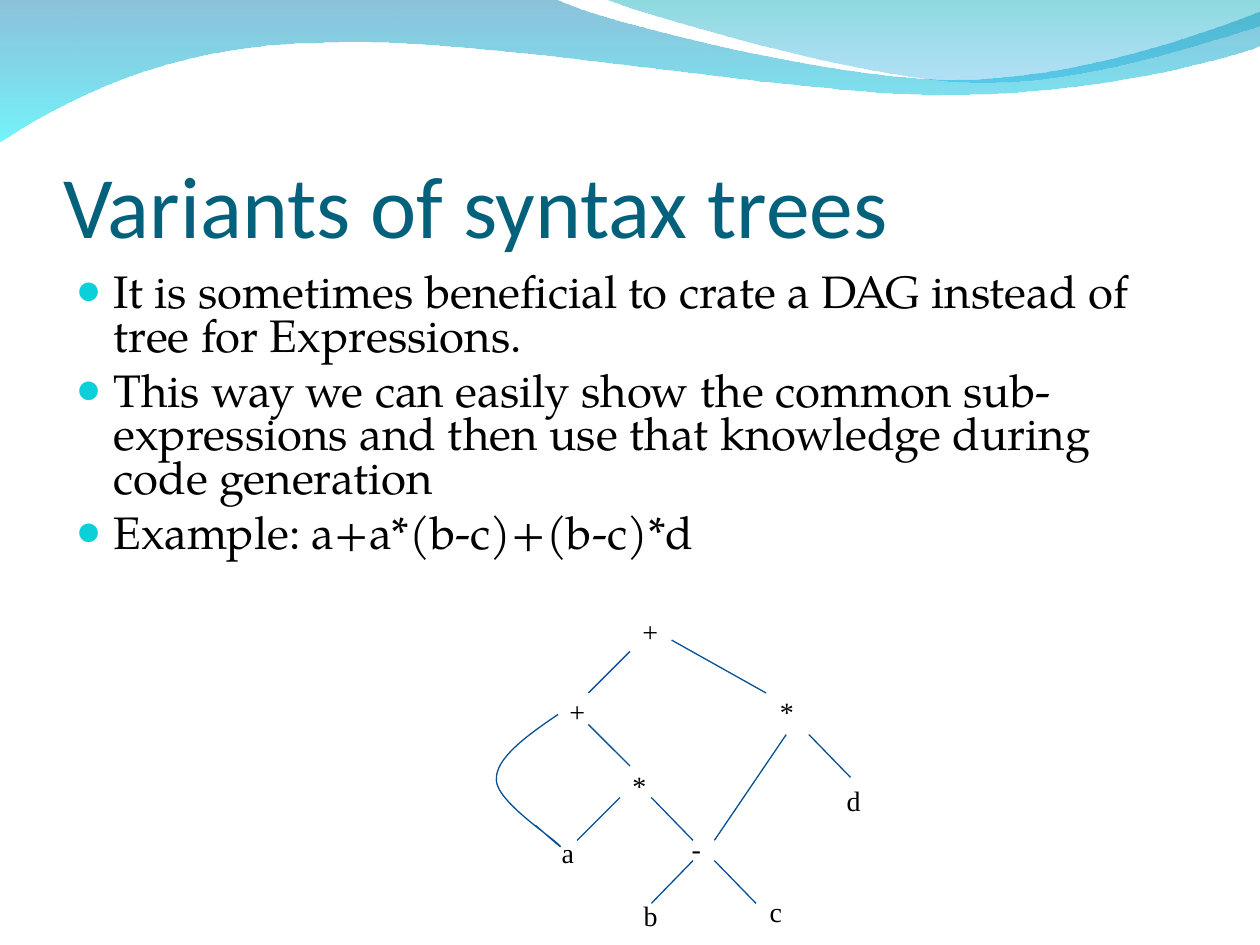
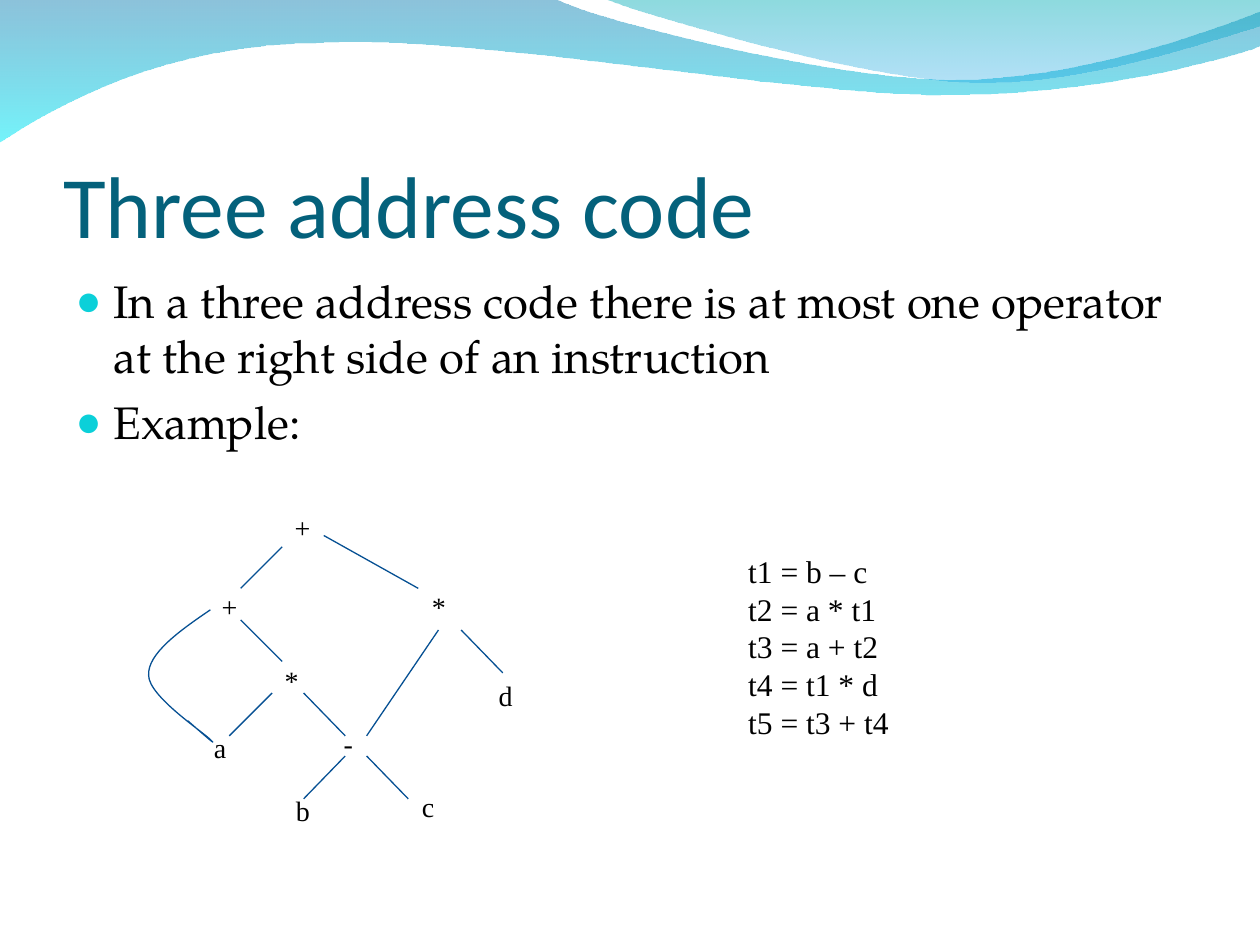
from lxml.etree import SubElement
from pptx import Presentation
from pptx.dml.color import RGBColor
from pptx.enum.shapes import MSO_CONNECTOR
from pptx.enum.text import MSO_ANCHOR, MSO_AUTO_SIZE, PP_ALIGN
from pptx.oxml.ns import qn
from pptx.util import Inches, Pt

TITLE_FONT, BODY_FONT, DIAGRAM_FONT = "Calibri", "TeX Gyre Pagella", "Times New Roman"
TITLE_COLOR, TEXT_COLOR, BULLET_COLOR, EDGE_COLOR = "04617B", "000000", "0BD0D9", "065093"

SLIDES = [
    {
        "title": "Variants of syntax trees",
        "bullets": [
            "It is sometimes beneficial to crate a DAG instead of tree for Expressions.",
            "This way we can easily show the common sub-expressions and then use that "
            "knowledge during code generation",
            "Example: a+a*(b-c)+(b-c)*d",
        ],
        "body_height": 2.72,
        "line_spacing": 0.8,
        "dag_origin": (5, 4.83),
        "code": [],
    },
    {
        "title": "Three address code",
        "bullets": [
            "In a three address code there is at most one operator at the right side "
            "of an instruction",
            "Example:",
        ],
        "body_height": 1.8,
        "line_spacing": 1.0,
        "dag_origin": (2.24, 4),
        "code": ["t1 = b – c", "t2 = a * t1", "t3 = a + t2", "t4 = t1 * d", "t5 = t3 + t4"],
    },
]

# Outlines: a start point, then segments of one point (line) or three (Bezier curve).
# Gradient stops: colour and opacity in percent, from top to bottom.
BANDS = [
    {
        "start": (0, -0.01),
        "segments": [
            [(4.4, -0.01)],
            [(4.76, 0.17), (6.64, 0.63), (7.58, 0.63)],
            [(8.53, 0.63), (9.58, 0.26), (10, 0.09)],
            [(10.01, 0.36)],
            [(9.83, 0.44), (8.7, 0.76), (7.46, 0.75)],
            [(6.22, 0.75), (3.82, 0.28), (2.57, 0.34)],
            [(1.29, 0.35), (0.46, 0.83), (-0.01, 1.13)],
            [(0, -0.01)],
        ],
        "stops": [("0079AF", 45), ("00EBF8", 55)],
    },
    {
        "start": (4.79, -0.01),
        "segments": [
            [(5.09, 0.11), (6.82, 0.62), (7.69, 0.65)],
            [(8.56, 0.69), (9.61, 0.32), (10, 0.21)],
            [(10, 0)],
            [(4.79, -0.01)],
        ],
        "stops": [("00ADB6", 45), ("009BE5", 30)],
    },
]

# The expression DAG, measured from the corner of its root label.
DAG_NODES = [
    ("+", 0, 0), ("+", -0.58, 0.63), ("*", 1.09, 0.63), ("*", -0.08, 1.22), ("-", 0.39, 1.72),
    ("b", 0.01, 2.25), ("c", 1.01, 2.22), ("a", -0.64, 1.75), ("d", 1.62, 1.34),
]
DAG_EDGES = [
    ((0, 0.34), (-0.33, 0.67)), ((0.33, 0.25), (1.08, 0.67)),
    ((-0.33, 0.92), (0, 1.25)), ((1.24, 1), (0.67, 1.84)), ((1.42, 1), (1.75, 1.34)),
    ((-0.08, 1.5), (-0.42, 1.84)), ((0.17, 1.5), (0.5, 1.84)),
    ((0.5, 2), (0.17, 2.34)), ((0.67, 2), (1, 2.34)),
]
DAG_LOOP = {
    "start": (-0.57, 0.84),
    "segments": [
        [(-0.82, 1.01), (-1.07, 1.19), (-1.06, 1.36)],
        [(-1.06, 1.53), (-0.61, 1.82), (-0.56, 1.88)],
        [(-0.5, 1.94), (-0.75, 1.72), (-0.75, 1.72)],
        [(-0.75, 1.72)],
    ],
}
LABEL_WIDTHS = {"+": 0.32, "-": 0.27, "a": 0.3, "c": 0.3}


def color(hex_string):
    return RGBColor.from_string(hex_string)


def place(shape, left, top, width, height):
    shape.left, shape.top = Inches(left), Inches(top)
    shape.width, shape.height = Inches(width), Inches(height)


def format_runs(paragraph, font, size, hex_string):
    for run in paragraph.runs:
        run.font.name, run.font.size = font, Pt(size)
        run.font.color.rgb = color(hex_string)


def add_outline(slide, outline, origin=(0, 0), close=True):
    """Build a freeform through all points, then join each group of three into a curve."""
    points = [outline["start"]] + [point for segment in outline["segments"] for point in segment]
    start, *others = [(Inches(origin[0] + x), Inches(origin[1] + y)) for x, y in points]
    builder = slide.shapes.build_freeform(*start)
    builder.add_line_segments(others, close=close)
    shape = builder.convert_to_shape()
    shape.shadow.inherit = False
    lines = iter(list(shape.element.iter(qn("a:lnTo"))))
    for segment in outline["segments"]:
        first, *rest = [next(lines) for _ in segment]
        if rest:
            first.tag = qn("a:cubicBezTo")
        for line in rest:
            first.append(line[0])
            line.getparent().remove(line)
    return shape


def move_bands_to_layout(slide, layout):
    """Draw the bands with the slide's shape builder and put them behind the layout."""
    for index, band in enumerate(BANDS):
        shape = add_outline(slide, band)
        shape.line.fill.background()
        shape.fill.gradient()
        shape.fill.gradient_angle = 270
        for stop, (hex_string, _) in zip(shape.fill.gradient_stops, band["stops"]):
            stop.color.rgb = color(hex_string)
        gradient_colors = shape.element.spPr.iter(qn("a:srgbClr"))
        for element, (_, opacity) in zip(gradient_colors, band["stops"]):
            SubElement(element, qn("a:alpha"), val=str(opacity * 1000))
        shape.element.nvSpPr.cNvPr.id = 20 + index
        layout.shapes.element.insert(2 + index, shape.element)


def set_title(slide, text):
    title = slide.shapes.title
    place(title, 0.5, 0.78, 9, 1.25)
    frame = title.text_frame
    frame.text = text
    frame.auto_size = MSO_AUTO_SIZE.NONE
    frame.vertical_anchor = MSO_ANCHOR.BOTTOM
    frame.margin_left = frame.margin_right = frame.margin_bottom = 0
    frame.paragraphs[0].alignment = PP_ALIGN.LEFT
    format_runs(frame.paragraphs[0], TITLE_FONT, 50, TITLE_COLOR)


def set_bullets(slide, bullets, height, line_spacing):
    body = slide.placeholders[1]
    place(body, 0.5, 2.12, 9, height)
    frame = body.text_frame
    frame.text = "\n".join(bullets)
    frame.auto_size = MSO_AUTO_SIZE.NONE
    for paragraph in frame.paragraphs:
        paragraph.space_before = Pt(6.5)
        paragraph.line_spacing = line_spacing
        format_runs(paragraph, BODY_FONT, 26, TEXT_COLOR)
        properties = paragraph._p.get_or_add_pPr()
        properties.set("marL", str(Inches(0.3)))
        properties.set("indent", str(Inches(-0.3)))
        bullet_color = SubElement(properties, qn("a:buClr"))
        SubElement(bullet_color, qn("a:srgbClr"), val=BULLET_COLOR)
        SubElement(properties, qn("a:buSzPct"), val="95000")
        SubElement(properties, qn("a:buChar"), char="●")


def add_text(slide, text, left, top, width, height, size):
    box = slide.shapes.add_textbox(Inches(left), Inches(top), Inches(width), Inches(height))
    frame = box.text_frame
    frame.text = text
    frame.word_wrap = False
    frame.auto_size = MSO_AUTO_SIZE.SHAPE_TO_FIT_TEXT
    for paragraph in frame.paragraphs:
        format_runs(paragraph, DIAGRAM_FONT, size, TEXT_COLOR)


def style_edge(shape):
    shape.line.color.rgb = color(EDGE_COLOR)
    shape.line.width = Pt(0.75)


def add_dag(slide, origin):
    left, top = origin
    for label, x, y in DAG_NODES:
        add_text(slide, label, left + x, top + y, LABEL_WIDTHS.get(label, 0.31), 0.37, 16)
    for (x1, y1), (x2, y2) in DAG_EDGES:
        edge = slide.shapes.add_connector(
            MSO_CONNECTOR.STRAIGHT,
            Inches(left + x1), Inches(top + y1), Inches(left + x2), Inches(top + y2),
        )
        style_edge(edge)
        SubElement(edge.element.spPr, qn("a:effectLst"))
    loop = add_outline(slide, DAG_LOOP, origin, close=False)
    loop.fill.background()
    style_edge(loop)


def main():
    presentation = Presentation()
    presentation.slide_width, presentation.slide_height = Inches(10), Inches(7.5)
    layout = presentation.slide_layouts[1]
    for content in SLIDES:
        slide = presentation.slides.add_slide(layout)
        set_title(slide, content["title"])
        set_bullets(slide, content["bullets"], content["body_height"], content["line_spacing"])
        add_dag(slide, content["dag_origin"])
        if content["code"]:
            add_text(slide, "\n".join(content["code"]), 5.84, 4.33, 1.34, 1.9, 18)
    move_bands_to_layout(presentation.slides[0], layout)
    presentation.save("out.pptx")


if __name__ == "__main__":
    main()
